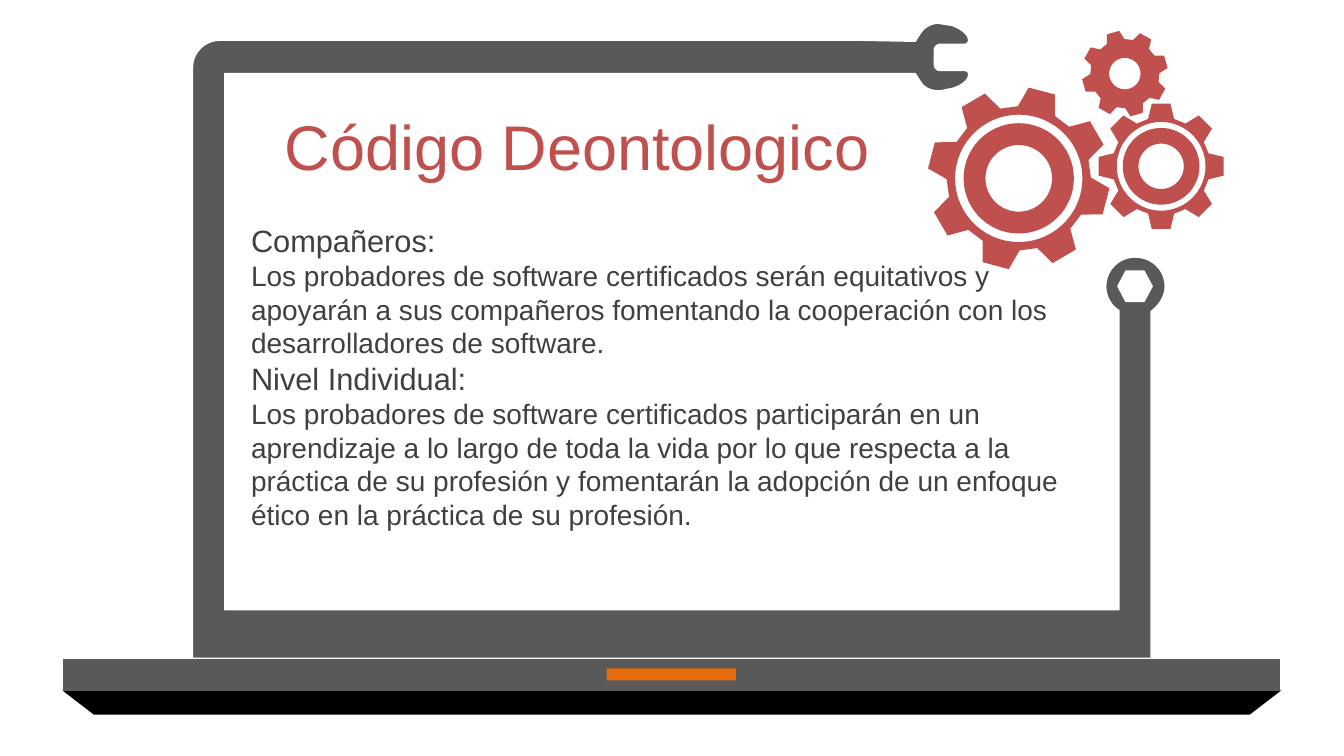
import math
from pptx import Presentation
from pptx.dml.color import RGBColor
from pptx.enum import shapes, text
from pptx.oxml import parse_xml
from pptx.oxml.ns import nsdecls
from pptx.util import Pt

RED, GRAY = "C0504D", "595959"


def paint(shape, fill, line=None):
    shape.shadow.inherit = False
    shape.fill.solid()
    shape.fill.fore_color.rgb = RGBColor.from_string(fill)
    if line:
        shape.line.color.rgb = RGBColor.from_string(line)
        shape.line.width = Pt(1)
    else:
        shape.line.fill.background()


def draw_outline(contours):
    scaled = [[(x * 100, y * 100) for x, y in contour] for contour in contours]
    builder = slide.shapes.build_freeform(*scaled[0][0], scale=Pt(0.01))
    builder.add_line_segments(scaled[0][1:], close=True)
    for contour in scaled[1:]:
        builder.move_to(*contour[0])
        builder.add_line_segments(contour[1:], close=True)
    return builder.convert_to_shape()


prs = Presentation()
prs.slide_width, prs.slide_height = Pt(960), Pt(540)
slide = prs.slides.add_slide(prs.slide_layouts[1])

# Two values are a corner, six values are a Bézier curve.
frame_steps = [
    (670.3, 16.6), (672.5, 17), (679, 18),
    (683.3, 18.7, 691.9, 23.8, 691.9, 28.8),
    (691.9, 30.2, 690.5, 31.7, 689, 31.7), (671.8, 31.7),
    (668.9, 31.7, 667.4, 33.8, 667.4, 36), (667.4, 46.1),
    (667.4, 48.2, 668.9, 50.4, 671.8, 50.4), (689, 50.4),
    (690.5, 50.4, 691.9, 51.1, 691.9, 53.3),
    (691.9, 58.3, 684, 62.6, 679, 63.4), (672.5, 64.8),
    (666.7, 65.5, 660.2, 63.4, 657.4, 58.3), (653.8, 52.6),
    (160.6, 52.6), (160.6, 435.6), (799.2, 435.6), (799.2, 221.8),
    (793.4, 218.2, 789.8, 211.7, 789.8, 204.5),
    (789.8, 193, 799.2, 183.6, 810.7, 183.6),
    (823, 183.6, 832.3, 193, 832.3, 204.5),
    (832.3, 211.7, 828, 218.2, 822.2, 222.5),
    (822.2, 470.2), (137.5, 470.2), (137.5, 48.2),
    (137.5, 37.4, 146.2, 28.8, 157, 28.8), (615.6, 28.8),
    (653.8, 29.5), (657.4, 23.8),
    (660.2, 19.4, 665.3, 16.6, 670.3, 16.6),
]
laptop_frame = []
for step in frame_steps:
    if len(step) == 2:
        laptop_frame.append(step)
        continue
    x0, y0 = laptop_frame[-1]
    x1, y1, x2, y2, x3, y3 = step
    for i in range(1, 11):
        t = i / 10
        a, b, c, d = (1 - t) ** 3, 3 * t * (1 - t) ** 2, 3 * t * t * (1 - t), t ** 3
        laptop_frame.append((a * x0 + b * x1 + c * x2 + d * x3,
                             a * y0 + b * y1 + c * y2 + d * y3))
wrench_hole = [(804.2, 193.7), (798.5, 204.5), (804.2, 215.3),
               (817.2, 215.3), (823, 204.5), (817.2, 193.7)]
paint(draw_outline([laptop_frame, wrench_hole]), GRAY, "FFFFFF")

laptop_parts = [
    (shapes.MSO_SHAPE.RECTANGLE, 44.6, 470.2, 870.5, 23, GRAY, "FFFFFF"),
    (shapes.MSO_SHAPE.TRAPEZOID, 44.6, 493.2, 870.5, 17.3, "000000", None),
    (shapes.MSO_SHAPE.RECTANGLE, 433.4, 477.4, 92.2, 8.6, "E46C0A", None),
]
for kind, left, top, width, height, fill, line in laptop_parts:
    part = slide.shapes.add_shape(kind, Pt(left), Pt(top), Pt(width), Pt(height))
    paint(part, fill, line)
    if kind == shapes.MSO_SHAPE.TRAPEZOID:
        part.rotation = 180
        part.adjustments[0] = 1.3

gears = [
    (727.7, 127.4, 65.2, 51.5, 14.75, (45.5, 39.4, 23.8)),
    (829.4, 118.8, 45.2, 35.1, 0, (31.7, 27.4, 16.2)),
    (803.5, 52.6, 30.8, 24.7, 29, (11.2,)),
]
gear_outlines = []
for x, y, tip, root, turn, rings in gears:
    corners = [(radius, turn + 45 * tooth + offset) for tooth in range(8)
               for radius, offset in ((root, -15.4), (tip, -8.5), (tip, 8.5), (root, 15.4))]
    circles = [[(ring, 6 * i) for i in range(60)] for ring in rings]
    for polar in [corners] + circles:
        gear_outlines.append([(x + r * math.sin(math.radians(angle)),
                               y - r * math.cos(math.radians(angle))) for r, angle in polar])
paint(draw_outline(gear_outlines), RED)

heading, code = slide.shapes.title, slide.placeholders[1]
for holder, box in ((code, (172.1, 154.8, 614.9, 230.4)), (heading, (191.5, 79.2, 441.4, 55.4))):
    holder.left, holder.top, holder.width, holder.height = [Pt(v) for v in box]
    holder.text_frame.word_wrap = True
    slide.shapes.element.append(holder.element)

heading.text_frame.text = "Código Deontologico"
heading.text_frame.auto_size = text.MSO_AUTO_SIZE.NONE
heading.text_frame.vertical_anchor = text.MSO_ANCHOR.MIDDLE
heading_line = heading.text_frame.paragraphs[0]
heading_line.alignment = text.PP_ALIGN.CENTER
heading_line.line_spacing = 0.9

principles = [
    ("Compañeros:", 22),
    ("Los probadores de software certificados serán equitativos y apoyarán a sus compañeros "
     "fomentando la cooperación con los desarrolladores de software.", 20),
    ("Nivel Individual:", 22),
    ("Los probadores de software certificados participarán en un aprendizaje a lo largo de toda "
     "la vida por lo que respecta a la práctica de su profesión y fomentarán la adopción de un "
     "enfoque ético en la práctica de su profesión.", 20),
]
code.text_frame.text = "\n".join(wording for wording, size in principles)
code.text_frame.auto_size = text.MSO_AUTO_SIZE.SHAPE_TO_FIT_TEXT
code.text_frame.vertical_anchor = text.MSO_ANCHOR.TOP
styled = [(heading_line, 45, RED)]
for principle, (wording, size) in zip(code.text_frame.paragraphs, principles):
    indents = principle._p.get_or_add_pPr()
    indents.set("marL", "0")
    indents.set("indent", "0")
    indents.append(parse_xml(f"<a:buNone {nsdecls('a')}/>"))
    principle.space_before = Pt(0)
    styled.append((principle, size, "404040"))

for paragraph, size, color in styled:
    for run in paragraph.runs:
        run.font.name = "Arial"
        run.font.size = Pt(size)
        run.font.color.rgb = RGBColor.from_string(color)

prs.save("out.pptx")
